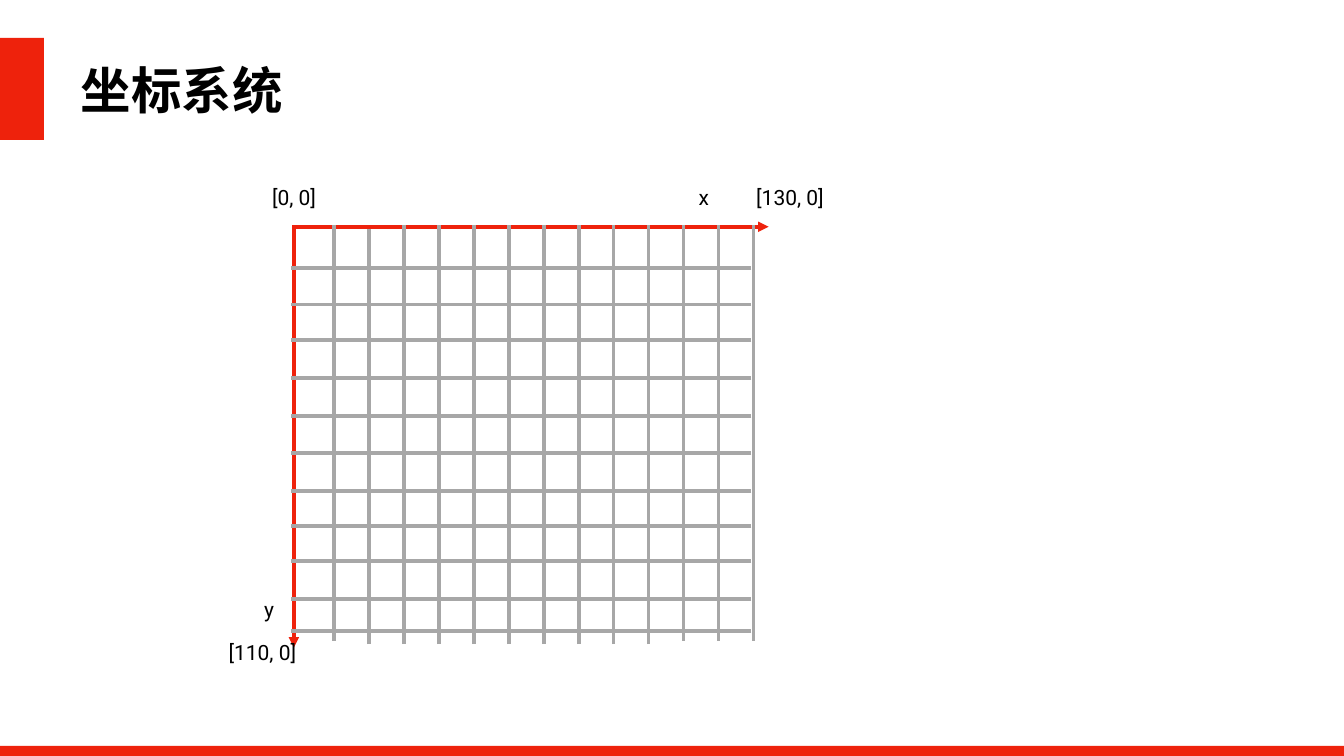
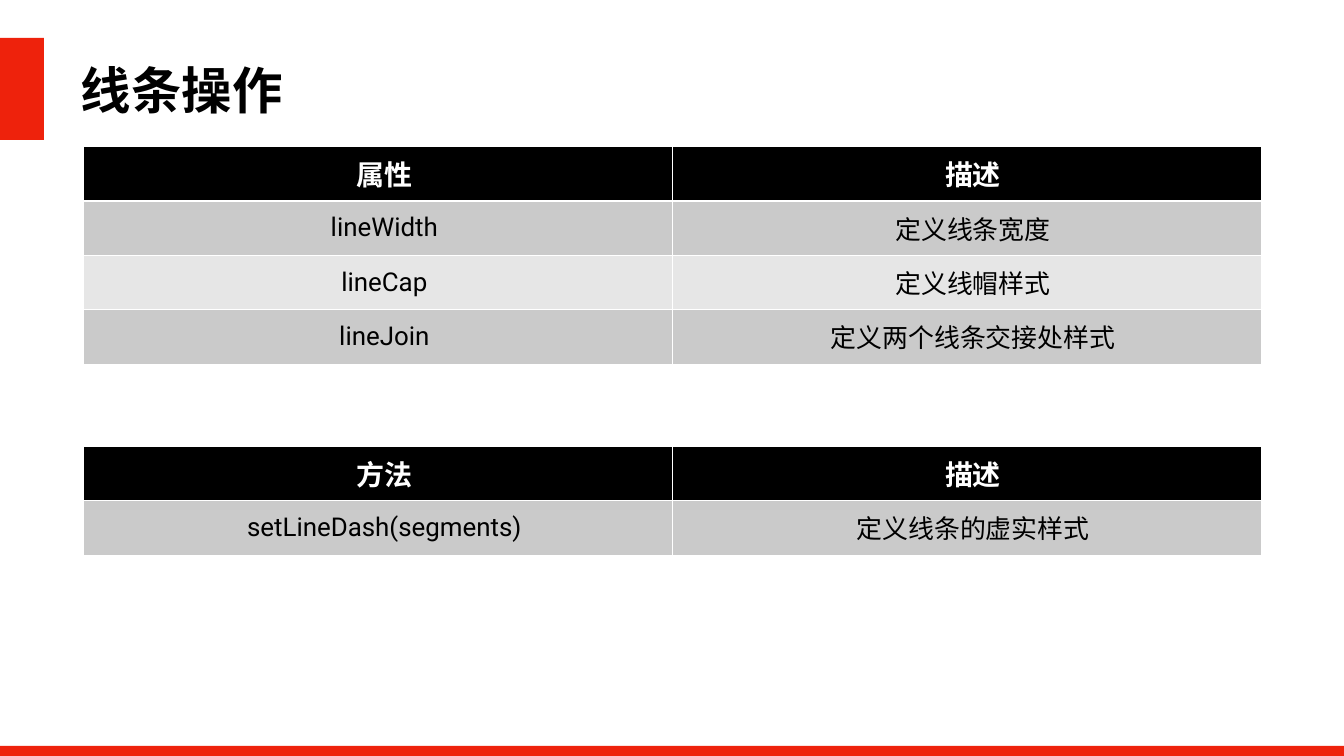
from dataclasses import dataclass

from lxml import etree
from pptx import Presentation
from pptx.dml.color import RGBColor
from pptx.enum import shapes, text
from pptx.oxml.ns import qn
from pptx.util import Pt


@dataclass(frozen=True)
class Theme:
    font: str = "Roboto"
    red: RGBColor = RGBColor(0xEE, 0x22, 0x0C)
    black: RGBColor = RGBColor(0, 0, 0)
    white: RGBColor = RGBColor(0xFF, 0xFF, 0xFF)
    grid: RGBColor = RGBColor(0xA7, 0xA7, 0xA7)
    row_dark: RGBColor = RGBColor(0xCA, 0xCA, 0xCA)
    row_light: RGBColor = RGBColor(0xE6, 0xE6, 0xE6)
    title_size: int = 72
    header_size: int = 40
    body_size: int = 37
    label_size: int = 30
    line_width: int = 5


theme = Theme()


def write(frame, words, size, color=theme.black, bold=False, align=text.PP_ALIGN.CENTER):
    """Put one styled run in the frame's first paragraph and return the paragraph."""
    paragraph = frame.paragraphs[0]
    paragraph.alignment = align
    run = paragraph.add_run()
    run.text = words
    run.font.name = theme.font
    run.font.size = Pt(size)
    run.font.bold = bold
    run.font.color.rgb = color
    return paragraph


def draw_line(slide, x1, y1, x2, y2, color, arrow=False):
    line = slide.shapes.add_connector(
        shapes.MSO_CONNECTOR.STRAIGHT, Pt(x1), Pt(y1), Pt(x2), Pt(y2))
    line.line.color.rgb = color
    line.line.width = Pt(theme.line_width)
    properties = line._element.spPr
    if arrow:
        etree.SubElement(properties.find(qn("a:ln")), qn("a:tailEnd"), type="triangle")
    etree.SubElement(properties, qn("a:effectLst"))


prs = Presentation()
prs.slide_width, prs.slide_height = Pt(1920), Pt(1080)

# Title, red marker and footer band on every slide
slides = []
for heading in ("坐标系统", "线条操作"):
    slide = prs.slides.add_slide(prs.slide_layouts[6])
    slides.append(slide)
    title = slide.shapes.add_textbox(Pt(111.6), Pt(73.4), Pt(1588), Pt(108)).text_frame
    title.word_wrap = True
    title.vertical_anchor = text.MSO_ANCHOR.MIDDLE
    title.margin_left = title.margin_right = title.margin_top = title.margin_bottom = Pt(4)
    write(title, heading, theme.title_size, bold=True, align=text.PP_ALIGN.LEFT)
    for left, top, width, height in ((-3.6, 54, 66.2, 146), (0, 1065.6, 1920, 36)):
        band = slide.shapes.add_shape(
            shapes.MSO_SHAPE.RECTANGLE, Pt(left), Pt(top), Pt(width), Pt(height))
        band.shadow.inherit = False
        band.fill.solid()
        band.fill.fore_color.rgb = theme.red
        band.line.fill.background()

coordinates, line_styles = slides

# Axes, with the grid drawn over them
draw_line(coordinates, 417.6, 324, 1098, 324, theme.red, arrow=True)
draw_line(coordinates, 419.8, 321.8, 419.8, 925.2, theme.red, arrow=True)

for column in range(13):
    x = 477.4 + 49.92 * column
    bottom = 920.2 if 1 <= column <= 9 else 915.1
    top = 326.9 if column == 1 else 321.8
    draw_line(coordinates, x, bottom, x, top, theme.grid)

for y in (383, 434.9, 486, 540, 594, 647.3, 701.3, 751.7, 801.4, 855.4, 901.4):
    draw_line(coordinates, 1073.5, y, 416.2, y, theme.grid)

axis_labels = (
    ("[0, 0]", 381.6, 259.2, 77),
    ("[130, 0]", 1073.5, 259.2, 110.2),
    ("y", 372.2, 848.2, 24.5),
    ("[110, 0]", 319.7, 909.4, 110.2),
    ("x", 992.9, 259.2, 25.2),
)
for words, left, top, width in axis_labels:
    label = coordinates.shapes.add_textbox(Pt(left), Pt(top), Pt(width), Pt(44)).text_frame
    label.word_wrap = False
    label.vertical_anchor = text.MSO_ANCHOR.MIDDLE
    label.margin_left = label.margin_right = label.margin_top = label.margin_bottom = Pt(4)
    write(label, words, theme.label_size)

# Reference tables: top, width of the rule above the first body row, rows
row_height, column_width = 77.8, 841
references = (
    (208.8, 3, (
        ("属性", "描述"),
        ("lineWidth", "定义线条宽度"),
        ("lineCap", "定义线帽样式"),
        ("lineJoin", "定义两个线条交接处样式"),
    )),
    (637.2, 1, (
        ("方法", "描述"),
        ("setLineDash(segments)", "定义线条的虚实样式"),
    )),
)
for top, header_rule, rows in references:
    table = line_styles.shapes.add_table(
        len(rows), 2, Pt(119.5), Pt(top),
        Pt(2 * column_width), Pt(row_height * len(rows))).table
    for column in table.columns:
        column.width = Pt(column_width)
    for r, row in enumerate(rows):
        table.rows[r].height = Pt(row_height)
        is_header = r == 0
        if is_header:
            fill = theme.black
        else:
            fill = theme.row_dark if r % 2 else theme.row_light
        borders = {"lnL": 1, "lnR": 1,
                   "lnT": header_rule if r == 1 else 1,
                   "lnB": header_rule if is_header else 1}
        for c, words in enumerate(row):
            cell = table.cell(r, c)
            cell.vertical_anchor = text.MSO_ANCHOR.MIDDLE
            cell.margin_left = cell.margin_right = cell.margin_top = cell.margin_bottom = 0
            cell_properties = cell._tc.get_or_add_tcPr()
            for side, width in borders.items():
                border = etree.SubElement(cell_properties, qn(f"a:{side}"), w=str(Pt(width)))
                paint = etree.SubElement(border, qn("a:solidFill"))
                etree.SubElement(paint, qn("a:srgbClr"), val=str(theme.white))
            cell.fill.solid()
            cell.fill.fore_color.rgb = fill
            paragraph = write(
                cell.text_frame, words,
                theme.header_size if is_header else theme.body_size,
                theme.white if is_header else theme.black, bold=is_header)
            paragraph._p.get_or_add_pPr().set("indent", str(Pt(18)))

prs.save("out.pptx")
